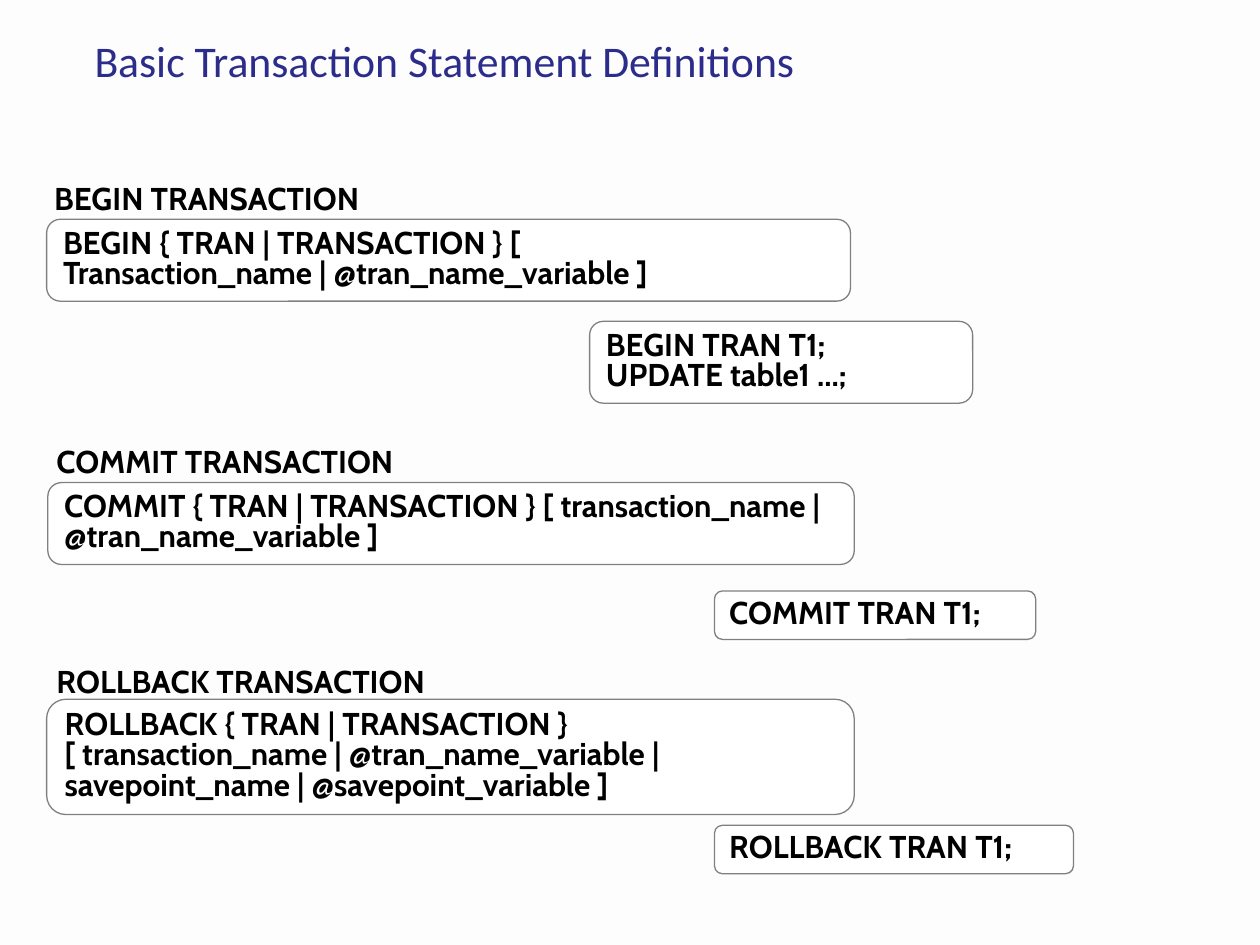
from pptx import Presentation
from pptx.dml.color import RGBColor
from pptx.enum.shapes import MSO_SHAPE
from pptx.enum.text import MSO_ANCHOR, PP_ALIGN
from pptx.util import Inches, Pt

ROUNDED = MSO_SHAPE.ROUNDED_RECTANGLE
TOP, MIDDLE = MSO_ANCHOR.TOP, MSO_ANCHOR.MIDDLE
LEFT = PP_ALIGN.LEFT

BACKGROUND = RGBColor(0xFE, 0xFD, 0xFD)
WHITE = RGBColor(0xFF, 0xFF, 0xFF)
BLACK = RGBColor(0, 0, 0)
GRAY = RGBColor(0x80, 0x80, 0x80)
INDIGO = RGBColor(0x2C, 0x2D, 0x8B)

TITLE = "Basic Transaction Statement Definitions"
LABELS = [
    ("BEGIN TRANSACTION", (0.43, 1.42, 5.01, 0.37), dict(inset=(0, 0), spacing=1.0)),
    ("COMMIT TRANSACTION", (0.35, 3.52, 4.47, 0.34), {}),
    ("ROLLBACK TRANSACTION", (0.35, 5.26, 4.47, 0.34), {}),
]
BOXES = [
    ("BEGIN { TRAN | TRANSACTION } [\nTransaction_name | @tran_name_variable ]",
     (0.37, 1.74, 6.38)),
    ("BEGIN TRAN T1;\nUPDATE table1 ...;", (4.68, 2.55, 3.04)),
    ("COMMIT { TRAN | TRANSACTION } [ transaction_name | @tran_name_variable ]",
     (0.38, 3.83, 6.4)),
    ("COMMIT TRAN T1;", (5.67, 4.69, 2.55)),
    ("ROLLBACK { TRAN | TRANSACTION }\v[ transaction_name | @tran_name_variable | "
     "savepoint_name | @savepoint_variable ]", (0.37, 5.55, 6.41)),
    ("ROLLBACK TRAN T1;", (5.67, 6.55, 2.85)),
]
BOX_LINES = [2, 2, 2, 1, 3, 1]
LINE_HEIGHT, BOX_PADDING = 0.265, 0.12


def write(s, text, size=18, font="Cabin", color=BLACK, bold=True,
          spacing=0.8, inset=(0.1, 0.05), anchor=TOP):
    tf = s.text_frame
    tf.word_wrap = True
    tf.vertical_anchor = anchor
    tf.margin_left = tf.margin_right = Inches(inset[0])
    tf.margin_top = tf.margin_bottom = Inches(inset[1])
    tf.text = text
    for p in tf.paragraphs:
        p.alignment = LEFT
        p.line_spacing = spacing
        for r in p.runs:
            r.font.size = Pt(size)
            r.font.name = font
            r.font.bold = bold
            r.font.color.rgb = color


def add_text(slide, text, place, **style):
    write(slide.shapes.add_textbox(*map(Inches, place)), text, **style)


def add_box(slide, text, place, lines):
    height = BOX_PADDING + lines * LINE_HEIGHT
    s = slide.shapes.add_shape(ROUNDED, *map(Inches, (*place, height)))
    s.shadow.inherit = False
    s.fill.solid()
    s.fill.fore_color.rgb = WHITE
    s.line.color.rgb = GRAY
    s.line.width = Pt(0.75)
    write(s, text, anchor=MIDDLE)


def main():
    prs = Presentation()
    prs.slide_width, prs.slide_height = Inches(10), Inches(7.5)
    slide = prs.slides.add_slide(prs.slide_layouts[6])
    slide.background.fill.solid()
    slide.background.fill.fore_color.rgb = BACKGROUND
    for (text, place), lines in zip(BOXES, BOX_LINES):
        add_box(slide, text, place, lines)
    for text, place, style in LABELS:
        add_text(slide, text, place, **style)
    add_text(slide, TITLE, (0.75, 0.27, 6.21, 0.42), size=25, font="Calibri",
             color=INDIGO, bold=False, spacing=1.0, inset=(0, 0))
    prs.save("out.pptx")


if __name__ == "__main__":
    main()
